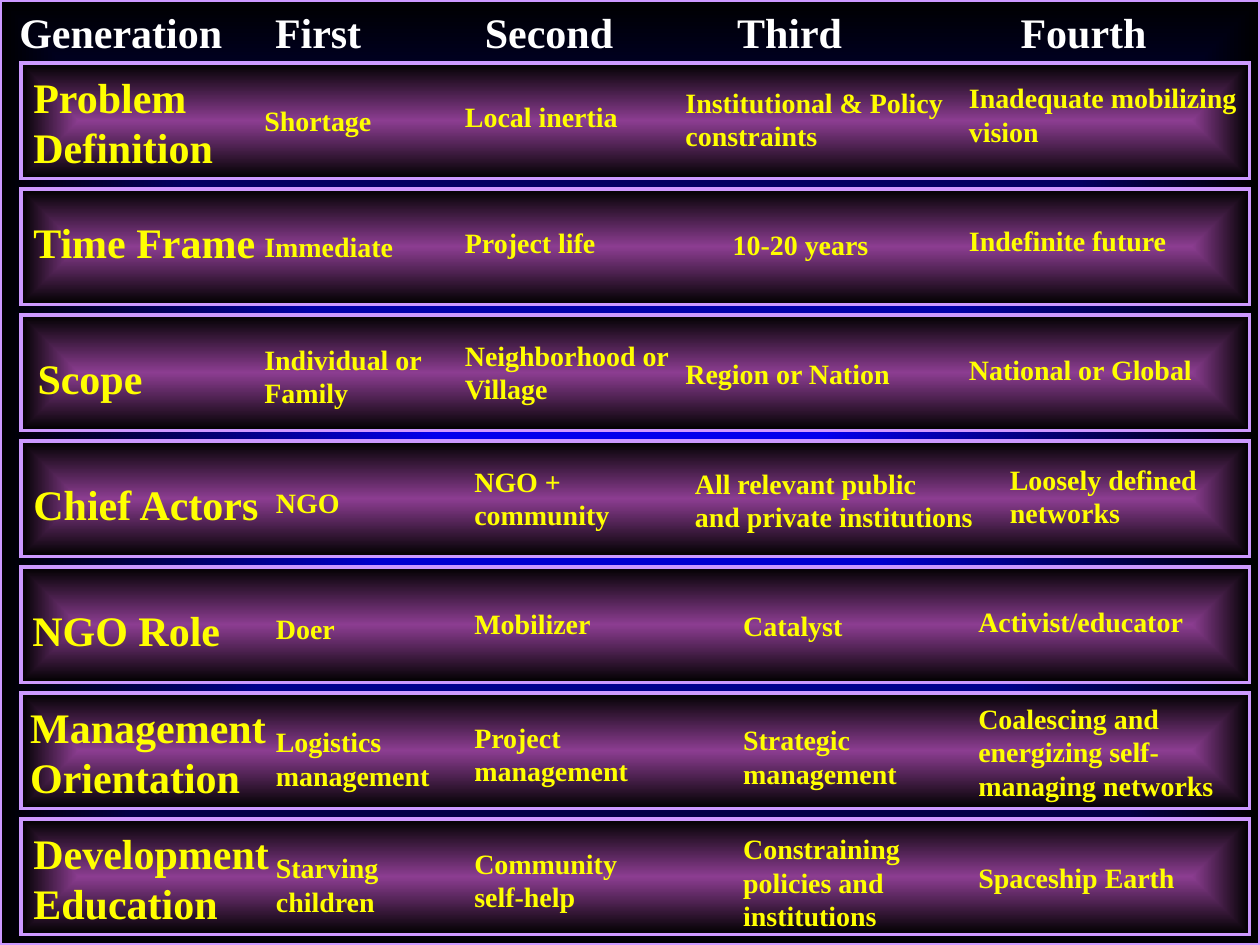
from pptx import Presentation
from pptx.dml.color import RGBColor as RGB
from pptx.enum.shapes import MSO_SHAPE as SHAPE
from pptx.enum.text import MSO_ANCHOR as ANCHOR, MSO_AUTO_SIZE as FIT, PP_ALIGN as ALIGN
from pptx.oxml import parse_xml
from pptx.oxml.ns import nsdecls, qn
from pptx.util import Pt

PX = 7620  # EMU per px, 120 px to the inch
SLACK = 8  # spare width that keeps each line whole
FONT = "Times New Roman"
COLORS = {
    "head": "FFFFFF", "text": "FFFF00", "edge": "CC99FF", "black": "000000",
    "blue": "0000FF", "plum": "8C3D91", "sky": "3333FF", "navy": "171775",
}
CENTER = ('<a:path {} path="rect"><a:fillToRect l="50000" t="50000" '
          'r="50000" b="50000"/></a:path>')
ACROSS = '<a:lin {} ang="10800000" scaled="1"/>'
LINES = {16: (44, 76, 108), 24: (60, 108)}  # box height by number of lines

# Header: text, left, width
HEADS = [("Generation", -10, 250), ("First", 250, 106), ("Second", 450, 146),
         ("Third", 690, 124), ("Fourth", 960, 144)]

# Rows: label (text, left, width, middle), middle of the cells,
# then the four cells (text, left, width)
ROWS = [
    (("Problem\nDefinition", 20, 194, 56), 55,
     [("Shortage", 240, 126), ("Local inertia", 431, 169),
      ("Institutional & Policy\nconstraints", 641, 269),
      ("Inadequate mobilizing\nvision", 911, 278)]),
    (("Time Frame", 20, 236, 50), 55,
     [("Immediate", 240, 146), ("Project life", 431, 149),
      ("10-20 years", 686, 152), ("Indefinite future", 911, 212)]),
    (("Scope", 24, 124, 60), 58,
     [("Individual or\nFamily", 240, 174), ("Neighborhood or\nVillage", 431, 218),
      ("Region or Nation", 641, 218), ("National or Global", 911, 236)]),
    (("Chief Actors", 20, 240, 60), 58,
     [("NGO", 251, 84), ("NGO +\ncommunity", 440, 152),
      ("All relevant public\nand private institutions", 650, 288),
      ("Loosely defined\nnetworks", 950, 209)]),
    (("NGO Role", 19, 203, 60), 58,
     [("Doer", 251, 80), ("Mobilizer", 440, 134),
      ("Catalyst", 696, 119), ("Activist/educator", 920, 218)]),
    (("Management\nOrientation", 17, 258, 56), 62,
     [("Logistics\nmanagement", 251, 170), ("Project\nmanagement", 440, 170),
      ("Strategic\nmanagement", 696, 170),
      ("Coalescing and\nenergizing self-\nmanaging networks", 920, 247)]),
    (("Development\nEducation", 20, 248, 56), 62,
     [("Starving\nchildren", 251, 121), ("Community\nself-help", 440, 160),
      ("Constraining\npolicies and\ninstitutions", 696, 173),
      ("Spaceship Earth", 920, 211)]),
]
SHIFTS = (0, -4, -2, -6)  # vertical shift of each column's cells


def grade(root, fill, names, shade):
    """Give a fill evenly spaced colour stops and a shading rule."""
    fill.gradient()
    grad = root.find(".//" + qn("a:gradFill"))
    grad.clear()
    step = 100000 // (len(names) - 1)
    stops = "".join(f'<a:gs pos="{i * step}"><a:srgbClr val="{COLORS[name]}"/></a:gs>'
                    for i, name in enumerate(names))
    grad.append(parse_xml(f'<a:gsLst {nsdecls("a")}>{stops}</a:gsLst>'))
    grad.append(parse_xml(shade.format(nsdecls("a"))))


def panel(slide, x, y, w, h, inner):
    box = slide.shapes.add_shape(SHAPE.RECTANGLE, x * PX, y * PX, w * PX, h * PX)
    box.shadow.inherit = False
    grade(box.element, box.fill, (inner, "black"), CENTER)
    box.line.color.rgb = RGB.from_string(COLORS["edge"])
    box.line.width = Pt(2)
    # Square corners
    edge = box.element.find(".//" + qn("a:ln"))
    edge.append(parse_xml(f'<a:miter {nsdecls("a")} lim="800000"/>'))


def label(slide, text, x, mid, w, size, color="text", align=ALIGN.LEFT):
    """Place text centred on the height mid."""
    h = LINES[size][text.count("\n")]
    if align == ALIGN.CENTER:
        x -= SLACK // 2
    box = slide.shapes.add_textbox(x * PX, (mid - h // 2) * PX, (w + SLACK) * PX, h * PX)
    frame = box.text_frame
    frame.text = text
    frame.word_wrap = True
    frame.auto_size = FIT.SHAPE_TO_FIT_TEXT
    frame.vertical_anchor = ANCHOR.MIDDLE
    for para in frame.paragraphs:
        para.alignment = align
        for run in para.runs:
            font = run.font
            font.name, font.size, font.bold = FONT, Pt(size), True
            font.color.rgb = RGB.from_string(COLORS[color])


def header(slide, y, h):
    for text, x, w in HEADS:
        label(slide, text, x, y + h // 2, w, 24, "head", ALIGN.CENTER)


def band(slide, x, y, w, h, row):
    (name, left, wide, mid), base, cells = row
    panel(slide, x, y, w, h, "plum")
    label(slide, name, left, y + mid, wide, 24)
    for (text, left, wide), shift in zip(cells, SHIFTS):
        label(slide, text, left, y + base + shift, wide, 16)


def main():
    deck = Presentation()
    deck.slide_width, deck.slide_height = 1200 * PX, 900 * PX
    slide = deck.slides.add_slide(deck.slide_layouts[6])

    # Backdrop
    grade(slide.element, slide.background.fill, ("sky", "navy", "sky"), ACROSS)
    panel(slide, 0, 0, 1200, 900, "blue")

    # Header and the seven bands
    header(slide, 0, 60)
    for i, row in enumerate(ROWS):
        band(slide, 20, 60 + 120 * i, 1170, 110, row)

    deck.save("out.pptx")


if __name__ == "__main__":
    main()
